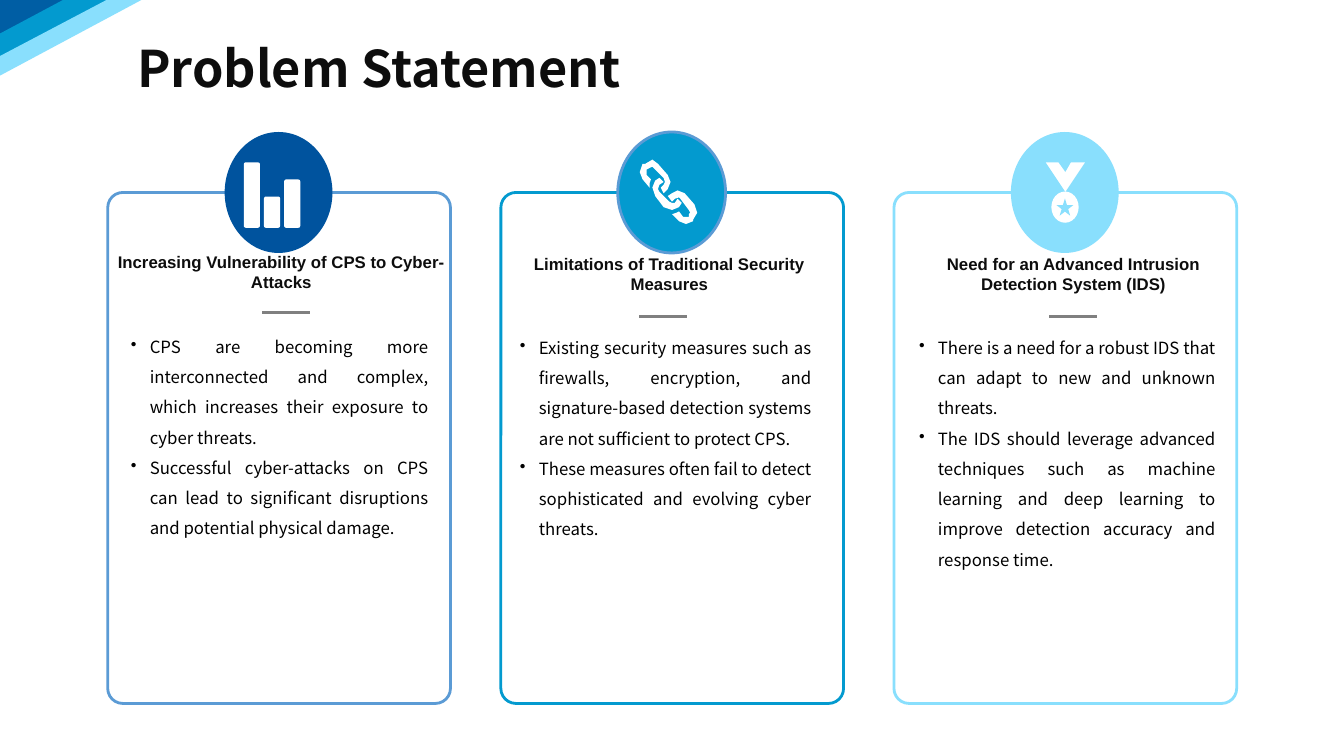
from lxml import etree
from pptx import Presentation
from pptx.dml.color import RGBColor
from pptx.enum import shapes, text
from pptx.oxml import ns
from pptx.util import Pt

NAVY = RGBColor(0x00, 0x53, 0x9E)
CORNER_BLUE = RGBColor(0x00, 0x5E, 0xA4)
TEAL = RGBColor(0x03, 0x9A, 0xCF)
SKY = RGBColor(0x89, 0xDF, 0xFD)
STEEL = RGBColor(0x5B, 0x9B, 0xD5)
GRAY = RGBColor(0x80, 0x80, 0x80)
INK = RGBColor(0x0D, 0x0D, 0x0D)
BLACK = RGBColor(0x00, 0x00, 0x00)
WHITE = RGBColor(0xFF, 0xFF, 0xFF)

BODY_FONT = "Noto Sans CJK SC"
COLUMN_STEP = 280.8
BULLET_INDENT = Pt(13.5)

deck = Presentation()
deck.slide_width, deck.slide_height = Pt(960), Pt(540)
slide = deck.slides.add_slide(deck.slide_layouts[5])


def write(box, paragraphs, size=12, font=BODY_FONT, color=BLACK, bold=False,
          align=text.PP_ALIGN.LEFT, spacing=1.0, bullet=None, wrap=True,
          anchor=text.MSO_ANCHOR.TOP):
    frame = box.text_frame
    frame.word_wrap = wrap
    frame.vertical_anchor = anchor
    frame.text = "\n".join(paragraphs)
    for paragraph in frame.paragraphs:
        paragraph.alignment = align
        paragraph.line_spacing = spacing
        run_font = paragraph.runs[0].font
        run_font.name, run_font.size, run_font.bold = font, Pt(size), bold
        run_font.color.rgb = color
        if bullet:
            properties = paragraph._p.get_or_add_pPr()
            properties.set("marL", str(BULLET_INDENT))
            properties.set("indent", str(-BULLET_INDENT))
            etree.SubElement(properties, ns.qn("a:buChar")).set("char", bullet)


def draw(outline, fill, line=None, box=None):
    """Draw a preset shape in a box, or a polygon from its points."""
    if box:
        part = slide.shapes.add_shape(outline, *map(Pt, box))
    else:
        builder = slide.shapes.build_freeform(*outline[0], scale=Pt(1))
        builder.add_line_segments(outline[1:], close=True)
        part = builder.convert_to_shape()
    part.shadow.inherit = False
    if fill is None:
        part.fill.background()
    else:
        part.fill.solid()
        part.fill.fore_color.rgb = fill
    if line is None:
        part.line.fill.background()
    else:
        part.line.color.rgb = line
        part.line.width = Pt(2)
    return part


# Corner stripes
draw([(0, 26), (0, 0), (49, 0)], CORNER_BLUE)
draw([(0, 44), (0, 24), (44.6, 0), (81.4, 0)], TEAL)
draw([(0, 54), (0, 40.3), (75.6, 0), (100.8, 0)], SKY)

# Title
title = slide.shapes.title
title.left, title.top, title.width, title.height = Pt(90.7), Pt(22.3), Pt(366.5), Pt(51)
write(title, ["Problem Statement"], size=36, color=INK, bold=True, wrap=False,
      anchor=text.MSO_ANCHOR.MIDDLE)

# Columns: card colour, badge fill, badge line, heading, heading box,
# body box, left and top of the divider, points
columns = [
    (STEEL, NAVY, None, "Increasing Vulnerability of CPS to Cyber-Attacks",
     (59.8, 176.4, 282.2, 36), (86.4, 229.7, 226.8, 213.8), (187.2, 223.2),
     ["CPS are becoming more interconnected and complex, which increases their "
      "exposure to cyber threats.",
      "Successful cyber-attacks on CPS can lead to significant disruptions and "
      "potential physical damage."]),
    (TEAL, TEAL, STEEL, "Limitations of Traditional Security Measures",
     (369.4, 177.8, 217.4, 36), (364.3, 230.4, 222.5, 181.4), (456.5, 226.1),
     ["Existing security measures such as firewalls, encryption, and "
      "signature-based detection systems are not sufficient to protect CPS.",
      "These measures often fail to detect sophisticated and evolving cyber "
      "threats."]),
    (SKY, SKY, None, "Need for an Advanced Intrusion Detection System (IDS)",
     (658.1, 177.8, 217.4, 36), (649.4, 230.4, 226.1, 181.4), (749.5, 226.1),
     ["There is a need for a robust IDS that can adapt to new and unknown threats.",
      "The IDS should leverage advanced techniques such as machine learning and "
      "deep learning to improve detection accuracy and response time."]),
]
for index, (card_color, badge_fill, badge_line, heading, heading_box, body_box,
            divider_start, points) in enumerate(columns):
    left = 77 + index * COLUMN_STEP
    card = draw(shapes.MSO_SHAPE.ROUNDED_RECTANGLE, None, card_color,
                (left, 137.5, 244.8, 365))
    card.adjustments[0] = 0.044
    draw(shapes.MSO_SHAPE.OVAL, badge_fill, badge_line, (left + 83.5, 94.3, 77, 86.4))

    write(slide.shapes.add_textbox(*map(Pt, heading_box)), [heading], font="Arial",
          color=INK, bold=True, align=text.PP_ALIGN.CENTER)
    write(slide.shapes.add_textbox(*map(Pt, body_box)), points,
          align=text.PP_ALIGN.JUSTIFY, spacing=1.5, bullet="•")

    x, y = divider_start
    divider = slide.shapes.add_connector(shapes.MSO_CONNECTOR.STRAIGHT,
                                         Pt(x), Pt(y), Pt(x + 34.4), Pt(y))
    divider.line.color.rgb = GRAY
    divider.line.width = Pt(1.75)
    etree.SubElement(divider._element.spPr, ns.qn("a:effectLst"))

# Bar icon, all bars on one baseline
for index, bar_top in enumerate((116, 140.4, 128.2)):
    bar = draw(shapes.MSO_SHAPE.ROUNDED_RECTANGLE, WHITE,
               box=(174.2 + index * 14.4, bar_top, 11.5, 162.7 - bar_top))
    bar.adjustments[0] = 0.12

# Chain icon: lower, upper and middle link
chain_links = [
    [(496.1, 146.2), (488.9, 138.2), (484.5, 136.1), (479.5, 138.2), (477.4, 140.4),
     (480.2, 144), (482.4, 141.8), (484.6, 140.8), (486, 141.8), (492.5, 149.8),
     (493.4, 151.6), (492.5, 153.4), (491.8, 154.8), (489.8, 155.3), (488.2, 154.8),
     (485.3, 151.2), (483, 152.3), (480.2, 152.6), (484.6, 157.7), (489.6, 160.1),
     (494.6, 157.7), (495.4, 157), (497.6, 151.6)],
    [(462.2, 121), (463.7, 119.5), (465.5, 119), (467.3, 119.5), (473.8, 127.4),
     (474.8, 129.6), (473.8, 131.8), (471.6, 133.9), (474.5, 137.5), (476.6, 135.4),
     (478.9, 129.8), (477.4, 124.6), (470.2, 116.6), (465.5, 114.5), (460.8, 116.6),
     (459.4, 117.4), (457.2, 122.8), (459.4, 128.2), (463.7, 133.9), (464, 131.2),
     (465.1, 128.2), (462.2, 125.3), (461.7, 123.1)],
    [(486.7, 145.4), (483.8, 141.8), (481.7, 144.7), (479.9, 145.3), (478.1, 144),
     (470.9, 136.8), (470.4, 134.6), (470.9, 132.5), (473.8, 129.6), (470.9, 126.7),
     (468, 128.9), (465.8, 134.3), (468, 139.7), (474.5, 147.6), (479.5, 149.8),
     (484.6, 147.6)],
]
for link in chain_links:
    draw(link, WHITE)

# Medal icon: ribbon, disc and star
draw([(746.6, 116), (756, 116), (760.9, 123.1), (765.4, 116), (774.7, 116),
      (760.9, 136.8)], WHITE)
draw(shapes.MSO_SHAPE.OVAL, WHITE, box=(751, 136.8, 19.5, 22.3))
draw(shapes.MSO_SHAPE.STAR_5_POINT, TEAL, box=(754.6, 141.8, 12.2, 12.3)).fill.fore_color.rgb = SKY

deck.save("out.pptx")
